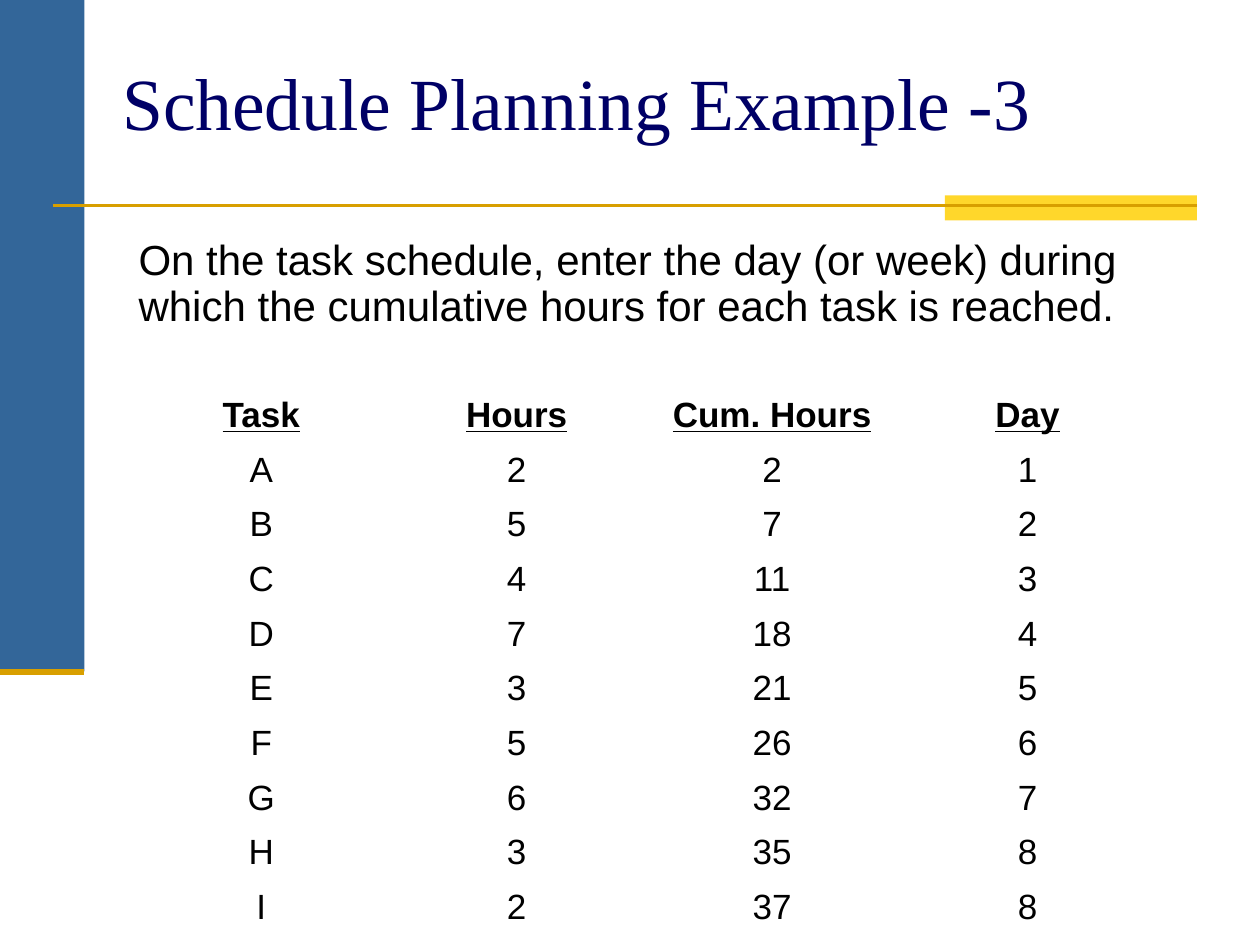
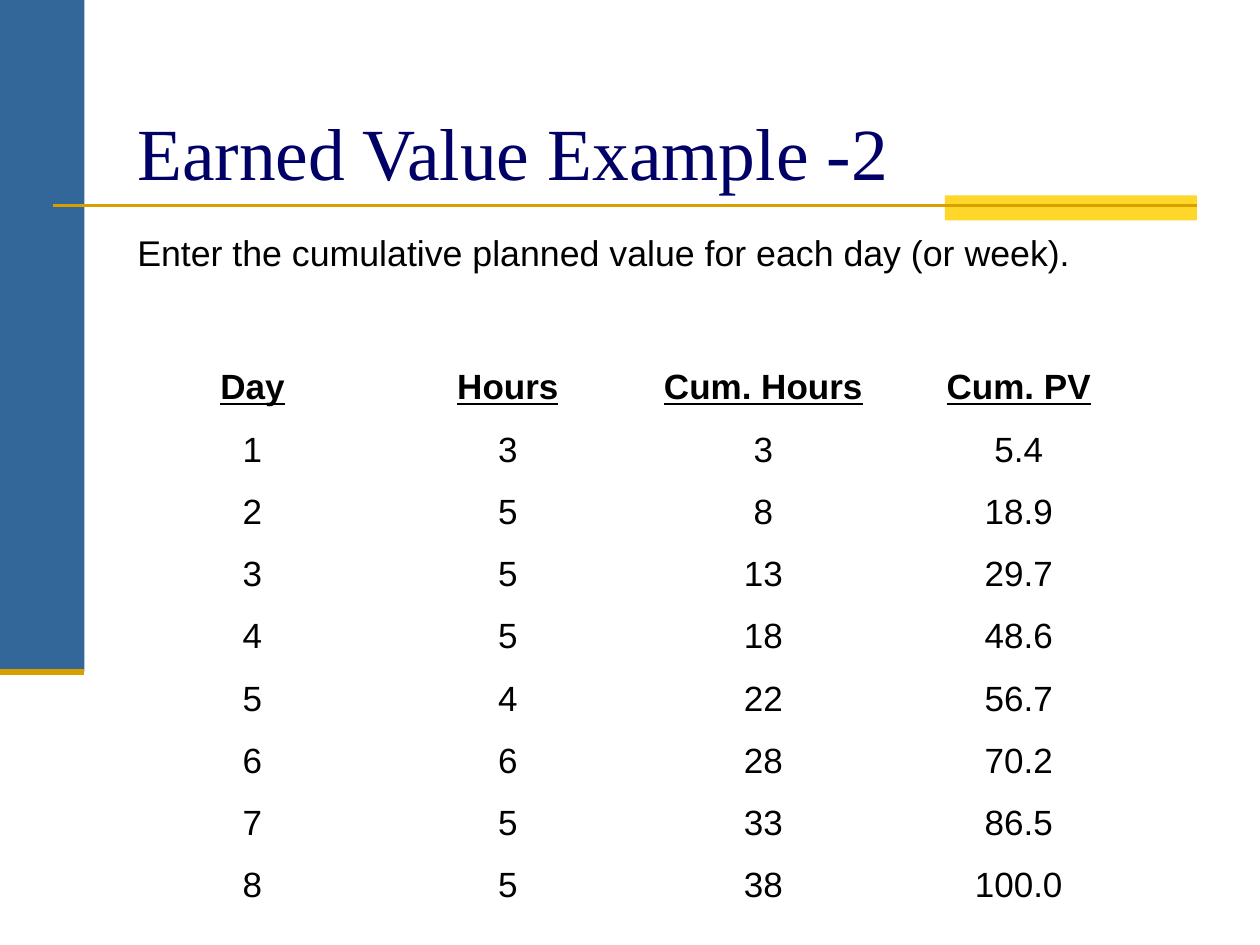
"""Builds two planning slides, each with a title, a note and a task table."""
from lxml.etree import SubElement
from pptx import Presentation
from pptx.dml.color import RGBColor
from pptx.enum.shapes import MSO_CONNECTOR, MSO_SHAPE
from pptx.enum.text import MSO_ANCHOR, MSO_AUTO_SIZE, PP_ALIGN
from pptx.oxml.ns import qn
from pptx.util import Inches, Pt

BLUE, GOLD, OCHRE = "336699", "FFD72B", "D89F00"
NAVY, BLACK = "000066", "000000"
BANDS = [(0, 0, 0.67, 5.33, BLUE), (7.5, 1.55, 2, 0.2, GOLD)]
RULES = [(0.42, 9.5, 1.63, 1.5), (0, 0.67, 5.33, 3.5)]

PAGES = [
    {
        "title": "Schedule Planning Example -3",
        "spot": (0.84, 0.5),
        "note": "On the task schedule, enter the day (or week) during which "
                "the cumulative hours for each task is reached.",
        "box": (0.84, 1.84, 8.56, 0.87),
        "size": 24,
        "lead": 0.9,
        "grid": (1.06, 3.08, 8.11, 4.13),
        "rows": [
            ("Task", "Hours", "Cum. Hours", "Day"),
            ("A", "2", "2", "1"),
            ("B", "5", "7", "2"),
            ("C", "4", "11", "3"),
            ("D", "7", "18", "4"),
            ("E", "3", "21", "5"),
            ("F", "5", "26", "6"),
            ("G", "6", "32", "7"),
            ("H", "3", "35", "8"),
            ("I", "2", "37", "8"),
        ],
    },
    {
        "title": "Earned Value Example -2",
        "spot": (0.96, 0.9),
        "note": "Enter the cumulative planned value for each day (or week).",
        "box": (0.83, 1.84, 8.27, 0.58),
        "size": 20.4,
        "lead": 0.8,
        "grid": (0.99, 2.83, 8.11, 4.45),
        "rows": [
            ("Day", "Hours", "Cum. Hours", "Cum. PV"),
            ("1", "3", "3", "5.4"),
            ("2", "5", "8", "18.9"),
            ("3", "5", "13", "29.7"),
            ("4", "5", "18", "48.6"),
            ("5", "4", "22", "56.7"),
            ("6", "6", "28", "70.2"),
            ("7", "5", "33", "86.5"),
            ("8", "5", "38", "100.0"),
        ],
    },
]


def paint(color, code):
    color.rgb = RGBColor.from_string(code)


def style(para, face, size, code, align=PP_ALIGN.LEFT):
    para.alignment = align
    para.font.name = face
    para.font.size = Pt(size)
    paint(para.font.color, code)


deck = Presentation()
deck.slide_width, deck.slide_height = Inches(10), Inches(7.5)

for page in PAGES:
    slide = deck.slides.add_slide(deck.slide_layouts[5])
    shapes = slide.shapes

    for *place, code in BANDS:
        band = shapes.add_shape(MSO_SHAPE.RECTANGLE, *map(Inches, place))
        band.shadow.inherit = False
        band.fill.solid()
        paint(band.fill.fore_color, code)
        band.line.fill.background()

    for start, end, y, width in RULES:
        ends = map(Inches, (start, y, end, y))
        rule = shapes.add_connector(MSO_CONNECTOR.STRAIGHT, *ends)
        paint(rule.line.color, OCHRE)
        rule.line.width = Pt(width)
        SubElement(rule._element.spPr, qn("a:effectLst"))

    title = shapes.title
    title.left, title.top = map(Inches, page["spot"])
    title.width, title.height = Inches(8.12), Inches(0.69)
    frame = title.text_frame
    frame.text = page["title"]
    frame.auto_size = MSO_AUTO_SIZE.NONE
    frame.vertical_anchor = MSO_ANCHOR.MIDDLE
    frame.margin_left = frame.margin_right = Inches(0.13)
    frame.margin_top = frame.margin_bottom = Inches(0.06)
    frame.paragraphs[0].line_spacing = 0.9
    style(frame.paragraphs[0], "Times New Roman", 42, NAVY)

    frame = shapes.add_textbox(*map(Inches, page["box"])).text_frame
    frame.word_wrap = True
    frame.text = page["note"]
    frame.margin_left, frame.margin_right = Inches(0.26), Inches(0.12)
    frame.margin_top = frame.margin_bottom = Inches(0.06)
    frame.paragraphs[0].line_spacing = page["lead"]
    style(frame.paragraphs[0], "Arial", page["size"], BLACK)

    rows = page["rows"]
    place = map(Inches, page["grid"])
    table = shapes.add_table(len(rows), len(rows[0]), *place).table
    table.first_row = table.horz_banding = False
    for r, row in enumerate(rows):
        for c, text in enumerate(row):
            cell = table.cell(r, c)
            cell.text = text
            cell.fill.background()
            cell.vertical_anchor = MSO_ANCHOR.MIDDLE
            para = cell.text_frame.paragraphs[0]
            style(para, "Arial", 20, BLACK, PP_ALIGN.CENTER)
            para.font.bold = para.font.underline = r == 0

deck.save("out.pptx")
